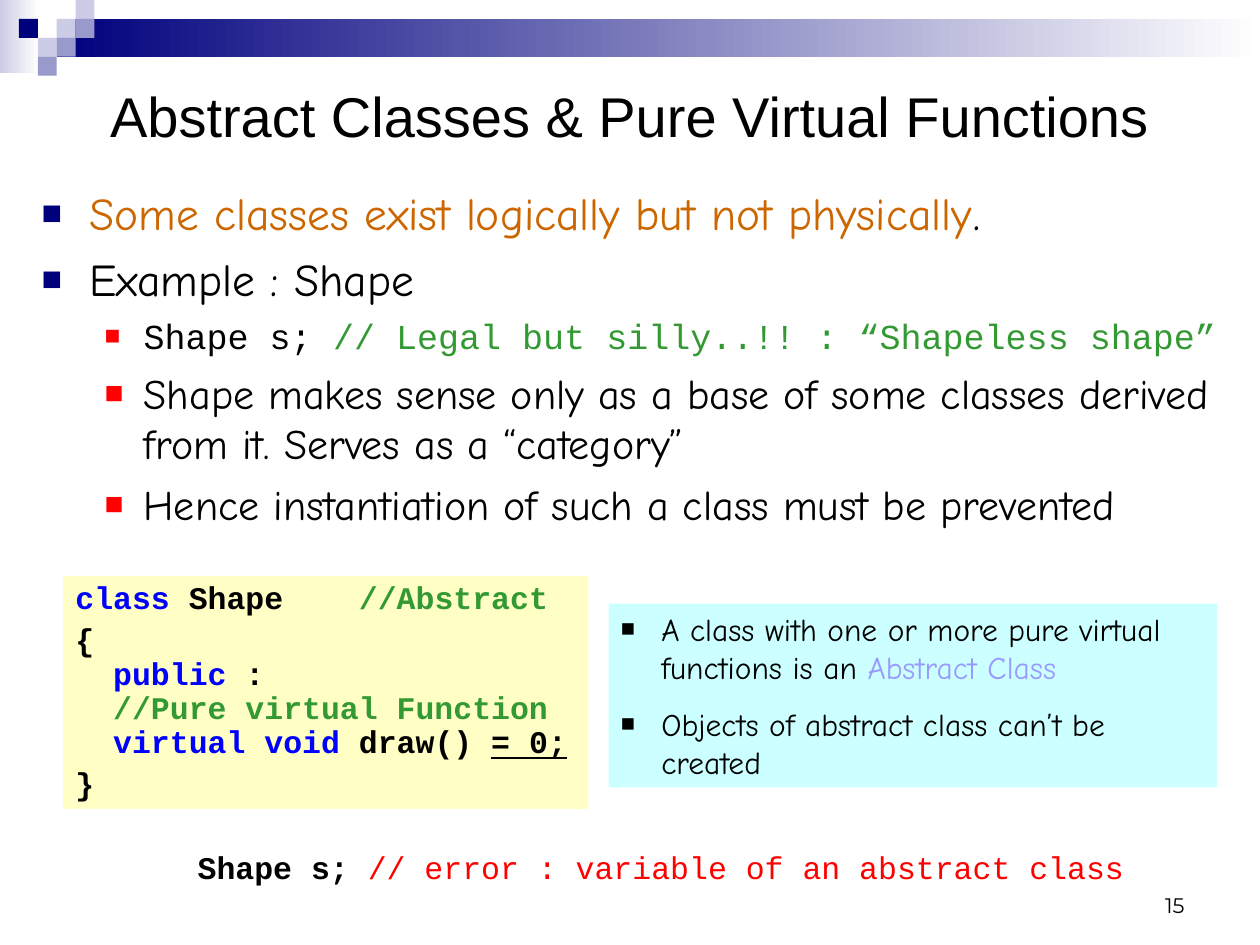
from dataclasses import dataclass

from lxml import etree
from pptx import Presentation
from pptx.dml.color import RGBColor
from pptx.enum.shapes import MSO_SHAPE
from pptx.enum.text import MSO_ANCHOR, MSO_AUTO_SIZE, PP_ALIGN
from pptx.oxml.ns import qn
from pptx.util import Inches, Pt

RECTANGLE = MSO_SHAPE.RECTANGLE
TOP, MIDDLE, BOTTOM = MSO_ANCHOR.TOP, MSO_ANCHOR.MIDDLE, MSO_ANCHOR.BOTTOM
LEFT, CENTER, RIGHT = PP_ALIGN.LEFT, PP_ALIGN.CENTER, PP_ALIGN.RIGHT
FIXED, GROW = MSO_AUTO_SIZE.NONE, MSO_AUTO_SIZE.SHAPE_TO_FIT_TEXT


@dataclass(frozen=True)
class Theme:
    black: str = "000000"
    white: str = "FFFFFF"
    navy: str = "00007D"
    lavender: str = "CCCCE6"
    violet: str = "9999CC"
    orange: str = "CC6600"
    red: str = "FF0000"
    keyword: str = "0000FF"
    comment: str = "339933"
    term: str = "9999FF"
    code_panel: str = "FFFFC5"
    note_panel: str = "CCFFFF"
    title_font: str = "Arial"
    body_font: str = "Comic Neue"
    code_font: str = "Courier New"
    number_font: str = "Montserrat"
    title_size: int = 32
    point_size: int = 26
    detail_size: int = 24
    statement_size: int = 20
    panel_size: int = 18
    number_size: int = 12


THEME = Theme()


def color(value):
    return RGBColor.from_string(value)


def set_frame(shape, margin=0.1, anchor=TOP, auto_size=FIXED, wrap=True):
    frame = shape.text_frame
    frame.margin_left = frame.margin_right = Inches(margin)
    frame.margin_top = frame.margin_bottom = Inches(0.05)
    frame.vertical_anchor = anchor
    frame.auto_size = auto_size
    frame.word_wrap = wrap
    return frame


def place(shape, left, top, width, height):
    shape.left, shape.top = Inches(left), Inches(top)
    shape.width, shape.height = Inches(width), Inches(height)


def add_rectangle(slide, left, top, width, height, fill):
    shape = slide.shapes.add_shape(
        RECTANGLE, Inches(left), Inches(top), Inches(width), Inches(height))
    shape.shadow.inherit = False
    shape.line.fill.background()
    shape.fill.solid()
    shape.fill.fore_color.rgb = color(fill)
    return shape


def add_fading_rectangle(slide, left, top, width, height, start):
    shape = add_rectangle(slide, left, top, width, height, start)
    shape.fill.gradient()
    shape.fill.gradient_angle = 0
    for stop, value in zip(shape.fill.gradient_stops, (start, THEME.white)):
        stop.color.rgb = color(value)


def add_paragraph(frame, runs, font, size, before=0, align=LEFT,
                  bullet=None, indent=0, hanging=0, level=0, bold=False,
                  line_spacing=1.0):
    """Runs are (text, colour) or (text, colour, underlined)."""
    first = not frame.paragraphs[0].runs
    paragraph = frame.paragraphs[0] if first else frame.add_paragraph()
    paragraph.level = level
    paragraph.alignment = align
    paragraph.line_spacing = line_spacing
    paragraph.space_before = Pt(0 if first else before)
    if bullet:
        add_bullet(paragraph, bullet, indent, hanging)
    paragraph.font.name = font
    paragraph.font.size = Pt(size)
    paragraph.font.bold = bold
    for text, value, *underlined in runs:
        for index, line in enumerate(text.split("\n")):
            if index:
                paragraph.add_line_break()
            if line:
                run = paragraph.add_run()
                run.text = line
                run.font.color.rgb = color(value)
                if underlined:
                    run.font.underline = True
    return paragraph


def add_bullet(paragraph, value, indent, hanging):
    properties = paragraph._p.get_or_add_pPr()
    properties.set("marL", str(Inches(indent)))
    properties.set("indent", str(-Inches(hanging)))
    bullet_color = etree.SubElement(properties, qn("a:buClr"))
    etree.SubElement(bullet_color, qn("a:srgbClr"), val=value)
    etree.SubElement(properties, qn("a:buSzPct"), val="75000")
    etree.SubElement(properties, qn("a:buFont"), typeface=THEME.title_font)
    etree.SubElement(properties, qn("a:buChar"), char="■")


def add_header_band(slide):
    add_fading_rectangle(slide, 0, 0, 0.31, 0.58, THEME.lavender)
    add_fading_rectangle(slide, 0.45, 0.15, 9.55, 0.3, THEME.navy)
    # Checker squares as (column, row) on a grid of equal cells
    cell = 0.15
    squares = [(3, 1, THEME.lavender), (4, 0, THEME.lavender),
               (4, 1, THEME.violet), (2, 2, THEME.lavender),
               (1, 1, THEME.navy), (3, 2, THEME.violet),
               (2, 3, THEME.violet)]
    for column, row, fill in squares:
        add_rectangle(slide, column * cell, row * cell, cell, cell, fill)


def fill_title(slide):
    title = slide.shapes.title
    place(title, 0.5, 0.5, 9, 0.83)
    add_paragraph(set_frame(title, anchor=MIDDLE),
                  [("Abstract Classes & Pure Virtual Functions", THEME.black)],
                  THEME.title_font, THEME.title_size, align=CENTER)


def fill_body(slide):
    body = slide.placeholders[1]
    place(body, 0.33, 1.42, 9.42, 2.92)
    frame = set_frame(body, margin=0)
    point = dict(font=THEME.body_font, size=THEME.point_size, before=6.5,
                 bullet=THEME.navy, indent=0.38, hanging=0.38)
    detail = dict(font=THEME.body_font, size=THEME.detail_size, before=6,
                  bullet=THEME.red, indent=0.81, hanging=0.31, level=1)
    statement = detail | dict(font=THEME.code_font, before=5,
                              size=THEME.statement_size)
    add_paragraph(frame, [
        ("Some classes exist logically but not physically", THEME.orange),
        (".", THEME.black)], **point)
    add_paragraph(frame, [("Example : Shape", THEME.black)], **point)
    add_paragraph(frame, [
        ("Shape s; ", THEME.black),
        ("// Legal but silly..!! : “Shapeless shape”", THEME.comment)],
        **statement)
    for text in ("Shape makes sense only as a base of some classes derived "
                 "from it. Serves as a “category”",
                 "Hence instantiation of such a class must be prevented"):
        add_paragraph(frame, [(text, THEME.black)], **detail)


def add_code_panel(slide):
    panel = add_rectangle(slide, 0.5, 4.57, 4.17, 1.85, THEME.code_panel)
    frame = set_frame(panel, auto_size=GROW)
    code = [
        [("class", THEME.keyword), (" Shape    ", THEME.black),
         ("//Abstract", THEME.comment)],
        [("{\n  ", THEME.black), ("public", THEME.keyword),
         (" :\n  ", THEME.black),
         ("//Pure virtual Function\n  ", THEME.comment),
         ("virtual void", THEME.keyword), (" draw() ", THEME.black),
         ("= 0;", THEME.black, True)],
        [("}", THEME.black)],
    ]
    for runs in code:
        add_paragraph(frame, runs, THEME.code_font, THEME.panel_size,
                      before=4.5, bold=True, line_spacing=0.9)


def add_note_panel(slide):
    panel = add_rectangle(slide, 4.83, 4.79, 4.83, 1.46, THEME.note_panel)
    frame = set_frame(panel, auto_size=GROW)
    notes = [
        [("A class with one or more pure virtual\nfunctions is an ",
          THEME.black), ("Abstract Class", THEME.term)],
        [("Objects of abstract class can’t be\ncreated", THEME.black)],
    ]
    for runs in notes:
        add_paragraph(frame, runs, THEME.body_font, THEME.panel_size,
                      before=11.2, bullet=THEME.black, indent=0.32,
                      hanging=0.32)


def add_text_box(slide, left, top, width, height, **frame_options):
    box = slide.shapes.add_textbox(
        Inches(left), Inches(top), Inches(width), Inches(height))
    return set_frame(box, **frame_options)


def main():
    presentation = Presentation()
    presentation.slide_width = Inches(10)
    presentation.slide_height = Inches(7.5)
    slide = presentation.slides.add_slide(presentation.slide_layouts[1])

    add_header_band(slide)
    fill_title(slide)
    fill_body(slide)
    add_code_panel(slide)
    add_note_panel(slide)

    # Error statement
    frame = add_text_box(slide, 1.47, 6.68, 7.55, 0.4, auto_size=GROW, wrap=False)
    statement = add_paragraph(frame, [
        ("Shape s; ", THEME.black),
        ("// error : variable of an abstract class", THEME.red)],
        THEME.code_font, THEME.panel_size)
    statement.runs[0].font.bold = True

    # Page number
    frame = add_text_box(slide, 7.17, 6.83, 2.33, 0.5, anchor=BOTTOM)
    add_paragraph(frame, [("15", THEME.black)], THEME.number_font,
                  THEME.number_size, align=RIGHT)
    presentation.save("out.pptx")


if __name__ == "__main__":
    main()
